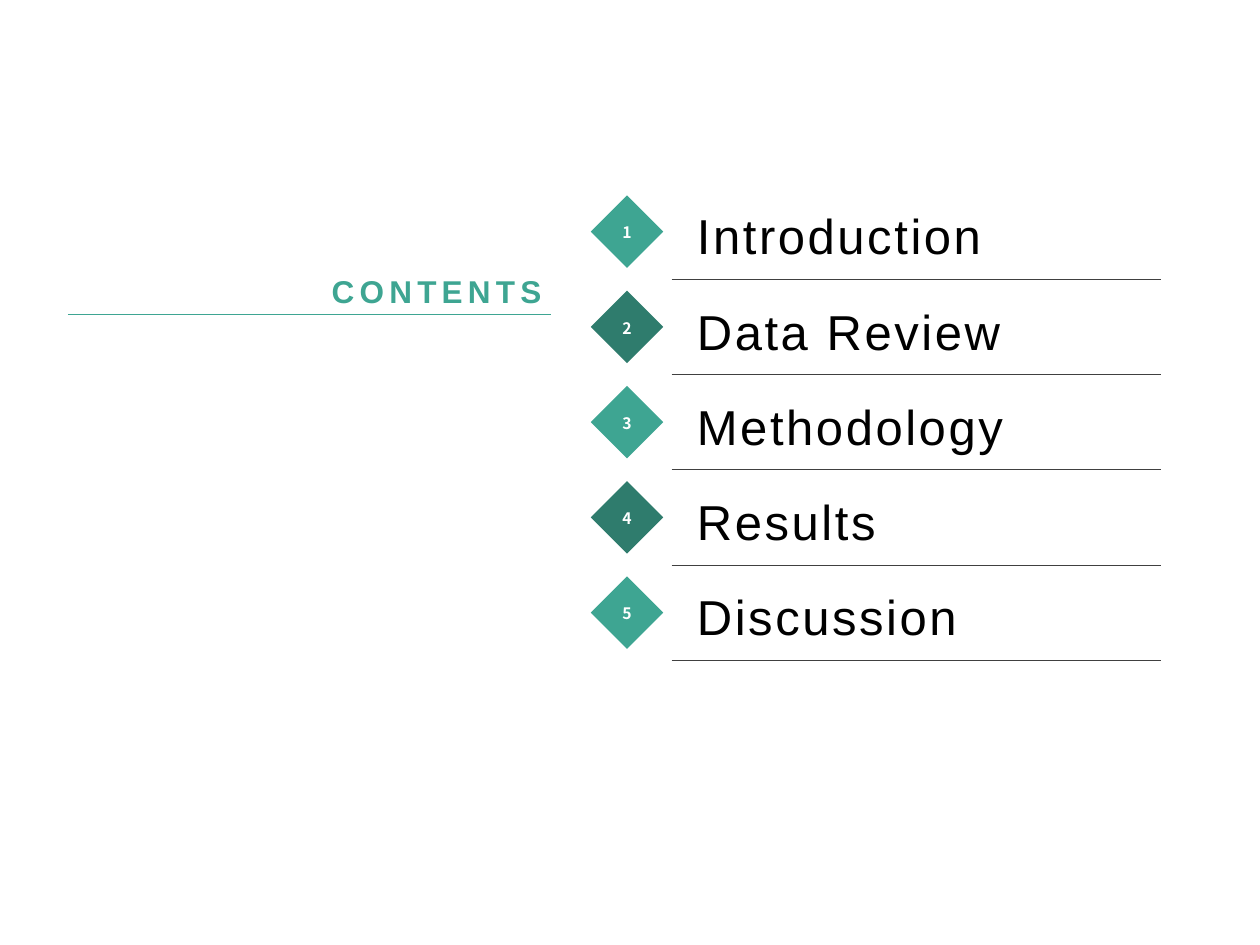
import pptx
import pptx.dml.color
import pptx.enum.shapes
import pptx.enum.text
import pptx.util
from dataclasses import dataclass
from lxml import etree

Cm = pptx.util.Cm
Pt = pptx.util.Pt
RGB = pptx.dml.color.RGBColor.from_string
Align = pptx.enum.text.PP_ALIGN
Anchor = pptx.enum.text.MSO_ANCHOR


@dataclass(frozen=True)
class Theme:
    paper: str = "FFFFFF"
    ink: str = "000000"
    rule: str = "404040"
    accent: str = "3EA592"
    accent_dark: str = "2F7C6D"
    latin: str = "Arial"
    cjk: str = "Noto Sans CJK SC"
    number_size: int = 9
    title_size: int = 18
    item_size: int = 28


theme = Theme()


def write(sp, text, font, size, color, align, anchor, spacing, bold=False, tracking=0, top=0.1):
    tf = sp.text_frame
    tf.word_wrap = True
    tf.vertical_anchor = anchor
    tf.margin_left = tf.margin_right = Cm(0.18)
    tf.margin_top, tf.margin_bottom = Cm(top), Cm(0.1)
    p = tf.paragraphs[0]
    p.text = text
    p.alignment = align
    p.line_spacing = spacing
    p.font.name = font
    p.font.size = Pt(size)
    p.font.bold = bold
    p.font.color.rgb = RGB(color)
    if tracking:
        p.font._element.set("spc", str(int(tracking * 100)))


def add_rule(x1, x2, y, color):
    line = s.shapes.add_connector(
        pptx.enum.shapes.MSO_CONNECTOR.STRAIGHT, Cm(x1), Cm(y), Cm(x2), Cm(y))
    line.line.color.rgb = RGB(color)
    line.line.width = Pt(0.25)
    etree.SubElement(line._element.spPr, pptx.oxml.ns.qn("a:effectLst"))


prs = pptx.Presentation()
prs.slide_width, prs.slide_height = Cm(25.4), Cm(19.05)
s = prs.slides.add_slide(prs.slide_layouts[6])
s.background.fill.solid()
s.background.fill.fore_color.rgb = RGB(theme.paper)

title = s.shapes.add_textbox(Cm(1.37), Cm(4.77), Cm(9.73), Cm(1.57))
write(title, "CONTENTS", theme.latin, theme.title_size, theme.accent,
      Align.RIGHT, Anchor.BOTTOM, 1.2, bold=True, tracking=3)
add_rule(1.37, 11.1, 6.34, theme.accent)

items = ["Introduction", "Data Review", "Methodology", "Results", "Discussion"]
first_top, pitch, side = 3.94, 1.92, 1.46

for i, item in enumerate(items):
    y = first_top + i * pitch
    diamond = s.shapes.add_shape(
        pptx.enum.shapes.MSO_SHAPE.DIAMOND, Cm(11.91), Cm(y), Cm(side), Cm(side))
    diamond.shadow.inherit = False
    diamond.fill.solid()
    diamond.fill.fore_color.rgb = RGB(theme.accent_dark if i % 2 else theme.accent)
    diamond.line.fill.background()
    write(diamond, str(i + 1), theme.cjk, theme.number_size, theme.paper,
          Align.CENTER, Anchor.MIDDLE, 1.1, bold=True)

    label = s.shapes.add_textbox(Cm(13.87), Cm(y + 0.33), Cm(9.86), Cm(0.81))
    write(label, item, theme.latin, theme.item_size, theme.ink,
          Align.LEFT, Anchor.MIDDLE, 1.2, tracking=1.5, top=0)
    add_rule(13.54, 23.41, y + 1.69, theme.rule)

prs.save("out.pptx")
